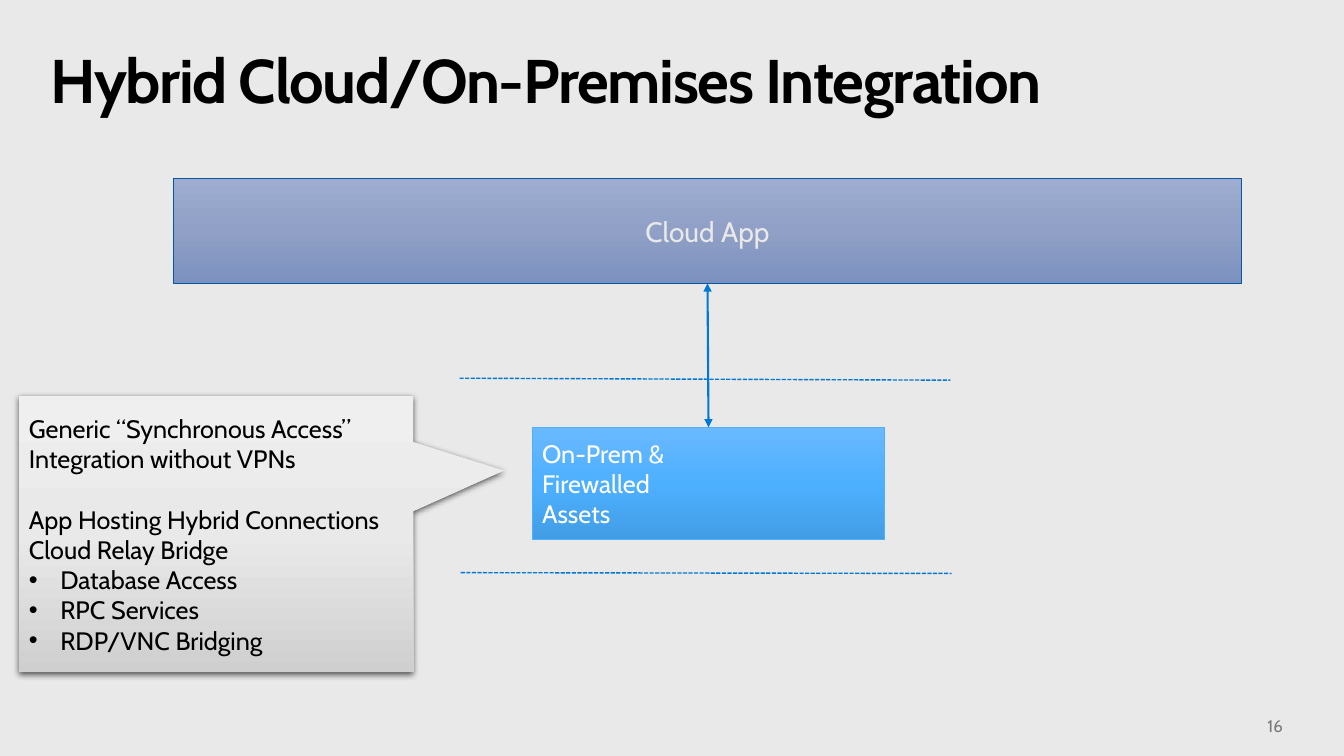
"""Build the hybrid cloud and on-premises integration slide."""
from copy import deepcopy
from dataclasses import dataclass

from lxml import etree
from pptx import Presentation
from pptx.dml.color import RGBColor
from pptx.enum.dml import MSO_LINE
from pptx.enum.shapes import MSO_CONNECTOR, MSO_SHAPE
from pptx.enum.text import MSO_ANCHOR, MSO_AUTO_SIZE, PP_ALIGN
from pptx.oxml.ns import qn
from pptx.shapes.autoshape import Shape
from pptx.shapes.connector import Connector
from pptx.slide import Slide
from pptx.util import Cm, Pt

LEFT, CENTER, RIGHT = PP_ALIGN.LEFT, PP_ALIGN.CENTER, PP_ALIGN.RIGHT
TOP, MIDDLE, BOTTOM = MSO_ANCHOR.TOP, MSO_ANCHOR.MIDDLE, MSO_ANCHOR.BOTTOM
RECTANGLE, CALLOUT = MSO_SHAPE.RECTANGLE, MSO_SHAPE.RECTANGULAR_CALLOUT
STRAIGHT = MSO_CONNECTOR.STRAIGHT
DASHED = MSO_LINE.SQUARE_DOT
FIT_SHAPE = MSO_AUTO_SIZE.SHAPE_TO_FIT_TEXT

FONT = "Cabin"
COLORS = {
    "background": "E9E9E9", "black": "000000", "white": "FFFFFF",
    "page": "797979", "link": "0078D7",
    "cloud_edge": "0359A0", "assets_edge": "4DB0FF",
}
GRADIENTS = {
    "cloud": ("9DACD0", "90A0C6", "7C91BF"),
    "assets": ("6AB9FF", "4DB0FF", "429DE5"),
    "callout": ("EFEFEF", "E9E9E9", "CFCFCF"),
}


@dataclass(frozen=True)
class Line:
    text: str
    space_before: float = 0
    bullet: bool = False


@dataclass(frozen=True)
class TextStyle:
    size: float
    color: str
    align: PP_ALIGN = LEFT
    bold: bool = False


@dataclass(frozen=True)
class Panel:
    box: tuple[float, float, float, float]
    gradient: str
    lines: tuple[Line, ...]
    style: TextStyle
    edge: str | None = None
    preset: MSO_SHAPE = RECTANGLE


@dataclass(frozen=True)
class Boundary:
    start: tuple[float, float]
    end: tuple[float, float]


CLOUD_APP = Panel((4.37, 4.5, 26.92, 2.64), "cloud", (Line("Cloud App"),),
                  TextStyle(20, "background", CENTER), "cloud_edge")
ASSETS = Panel((13.41, 10.77, 8.89, 2.82), "assets",
               (Line("On-Prem &"), Line("Firewalled"), Line("Assets")),
               TextStyle(18, "white"), "assets_edge")
ACCESS_NOTE = Panel(
    (0.48, 9.98, 9.93, 6.96), "callout",
    (Line("Generic “Synchronous Access” Integration without VPNs"),
     Line("App Hosting Hybrid Connections", space_before=21.8),
     Line("Cloud Relay Bridge"),
     Line("Database Access", bullet=True),
     Line("RPC Services", bullet=True),
     Line("RDP/VNC Bridging", bullet=True)),
    TextStyle(18, "black"), preset=CALLOUT)
BOUNDARIES = (Boundary((11.58, 9.53), (23.95, 9.58)),
              Boundary((11.61, 14.43), (23.98, 14.45)))


def rgb(name: str) -> RGBColor:
    return RGBColor.from_string(COLORS[name])


def write_lines(shape: Shape, lines: tuple[Line, ...], style: TextStyle) -> None:
    frame = shape.text_frame
    frame.word_wrap = True
    for index, line in enumerate(lines):
        paragraph = frame.paragraphs[0] if index == 0 else frame.add_paragraph()
        paragraph.alignment = style.align
        if line.space_before:
            paragraph.space_before = Pt(line.space_before)
        if line.bullet:
            properties = paragraph._p.get_or_add_pPr()
            properties.set("marL", str(Cm(0.79)))
            properties.set("indent", str(-Cm(0.79)))
            etree.SubElement(properties, qn("a:buFont"), typeface="Arial")
            etree.SubElement(properties, qn("a:buChar"), char="•")
        run = paragraph.add_run()
        run.text = line.text
        run.font.color.rgb = rgb(style.color)
        values = {"name": FONT, "size": Pt(style.size), "bold": style.bold}
        for attribute, value in values.items():
            setattr(run.font, attribute, value)


def add_label(slide: Slide, box: tuple[float, ...], text: str, style: TextStyle,
              anchor: MSO_ANCHOR, margins: tuple[float, ...]) -> Shape:
    label = slide.shapes.add_textbox(*map(Cm, box))
    write_lines(label, (Line(text),), style)
    sides = ("margin_left", "margin_top", "margin_right", "margin_bottom")
    values = dict(zip(sides, map(Cm, margins)), vertical_anchor=anchor)
    for attribute, value in values.items():
        setattr(label.text_frame, attribute, value)
    return label


def fill_gradient(shape: Shape, shades: tuple[str, ...]) -> None:
    shape.fill.gradient()
    shape.fill.gradient_angle = 270
    stop_list = shape._element.spPr.find(qn("a:gradFill")).find(qn("a:gsLst"))
    stop_list.append(deepcopy(stop_list[-1]))
    for index, (stop, shade) in enumerate(zip(shape.fill.gradient_stops, shades)):
        stop.position = index / (len(shades) - 1)
        stop.color.rgb = RGBColor.from_string(shade)


def add_panel(slide: Slide, panel: Panel) -> Shape:
    shape = slide.shapes.add_shape(panel.preset, *map(Cm, panel.box))
    shape.shadow.inherit = False
    fill_gradient(shape, GRADIENTS[panel.gradient])
    if panel.edge:
        shape.line.color.rgb = rgb(panel.edge)
        shape.line.width = Pt(0.5)
    else:
        shape.line.fill.background()
    shape.text_frame.vertical_anchor = MIDDLE
    write_lines(shape, panel.lines, panel.style)
    return shape


def add_shadow(shape: Shape) -> None:
    effects = shape._element.spPr.find(qn("a:effectLst"))
    shadow = etree.SubElement(effects, qn("a:outerShdw"), blurRad=str(Pt(4.5)),
                              dist=str(Pt(1.5)), dir="5400000", rotWithShape="0")
    color = etree.SubElement(shadow, qn("a:srgbClr"), val=COLORS["black"])
    etree.SubElement(color, qn("a:alpha"), val="63000")


def add_link(slide: Slide, start: tuple[float, float], end: tuple[float, float],
             width: float) -> Connector:
    link = slide.shapes.add_connector(STRAIGHT, *map(Cm, start + end))
    link.line.color.rgb = rgb("link")
    link.line.width = Pt(width)
    etree.SubElement(link._element.spPr, qn("a:effectLst"))
    return link


def main() -> None:
    deck = Presentation()
    deck.slide_width, deck.slide_height = Cm(33.87), Cm(19.05)
    slide = deck.slides.add_slide(deck.slide_layouts[6])
    slide.background.fill.solid()
    slide.background.fill.fore_color.rgb = rgb("background")

    title = add_label(slide, (1.27, 1.27, 31.32, 1.98),
                      "Hybrid Cloud/On-Premises Integration",
                      TextStyle(44, "black", bold=True), TOP, (0, 0, 0, 0))
    heading = title.text_frame.paragraphs[0]
    heading.line_spacing = 0.9
    heading.runs[0].font._element.set("spc", "-100")
    page = add_label(slide, (31.57, 17.96, 1.27, 1.02), "16",
                     TextStyle(12, "page", RIGHT), BOTTOM, (0.25, 0.13, 0.51, 0.51))
    page.text_frame.auto_size = FIT_SHAPE

    assets = add_panel(slide, ASSETS)
    cloud_app = add_panel(slide, CLOUD_APP)
    for boundary in BOUNDARIES:
        add_link(slide, boundary.start, boundary.end, 1).line.dash_style = DASHED

    access = add_link(slide, (17.86, 10.77), (17.83, 7.14), 1.5)
    access.begin_connect(assets, 0)
    access.end_connect(cloud_app, 2)
    for tip in ("a:headEnd", "a:tailEnd"):
        etree.SubElement(access.line._get_or_add_ln(), qn(tip), type="triangle")

    note = add_panel(slide, ACCESS_NOTE)
    note.adjustments[0], note.adjustments[1] = 0.73, -0.23
    add_shadow(note)
    deck.save("out.pptx")


if __name__ == "__main__":
    main()
